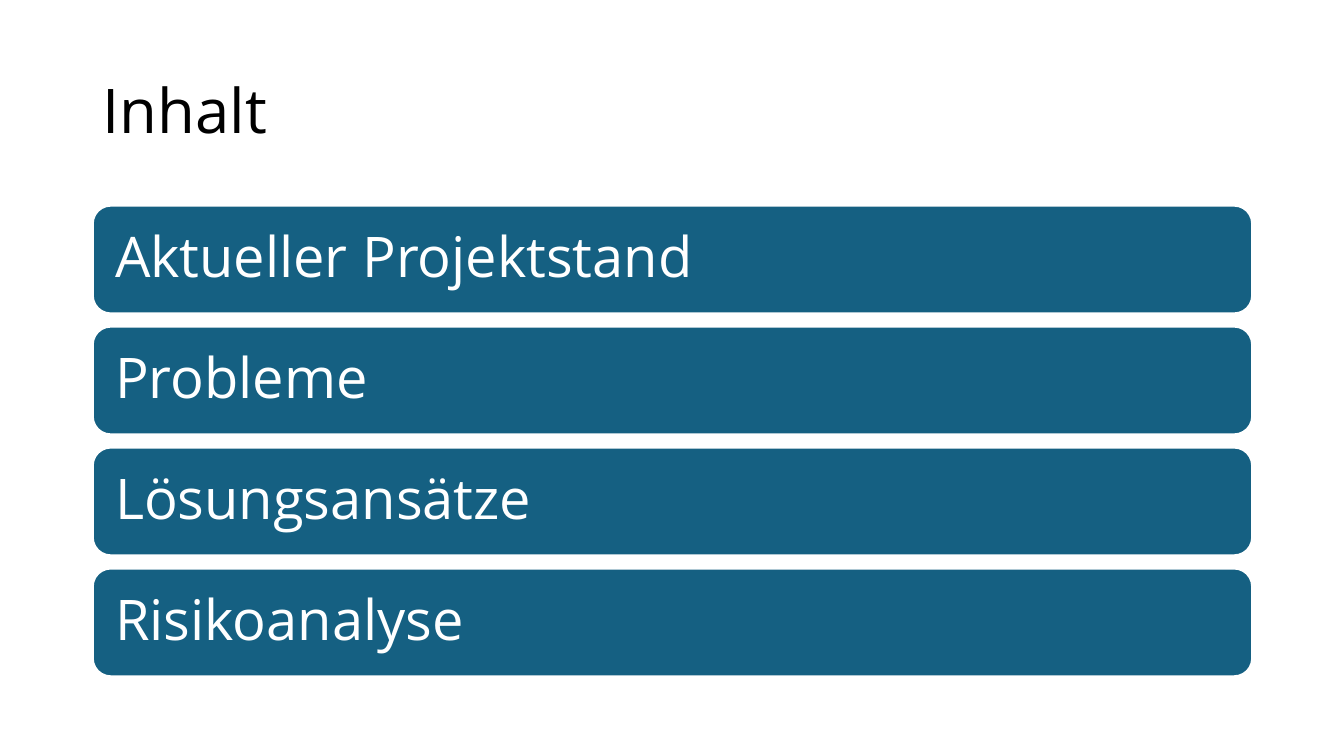
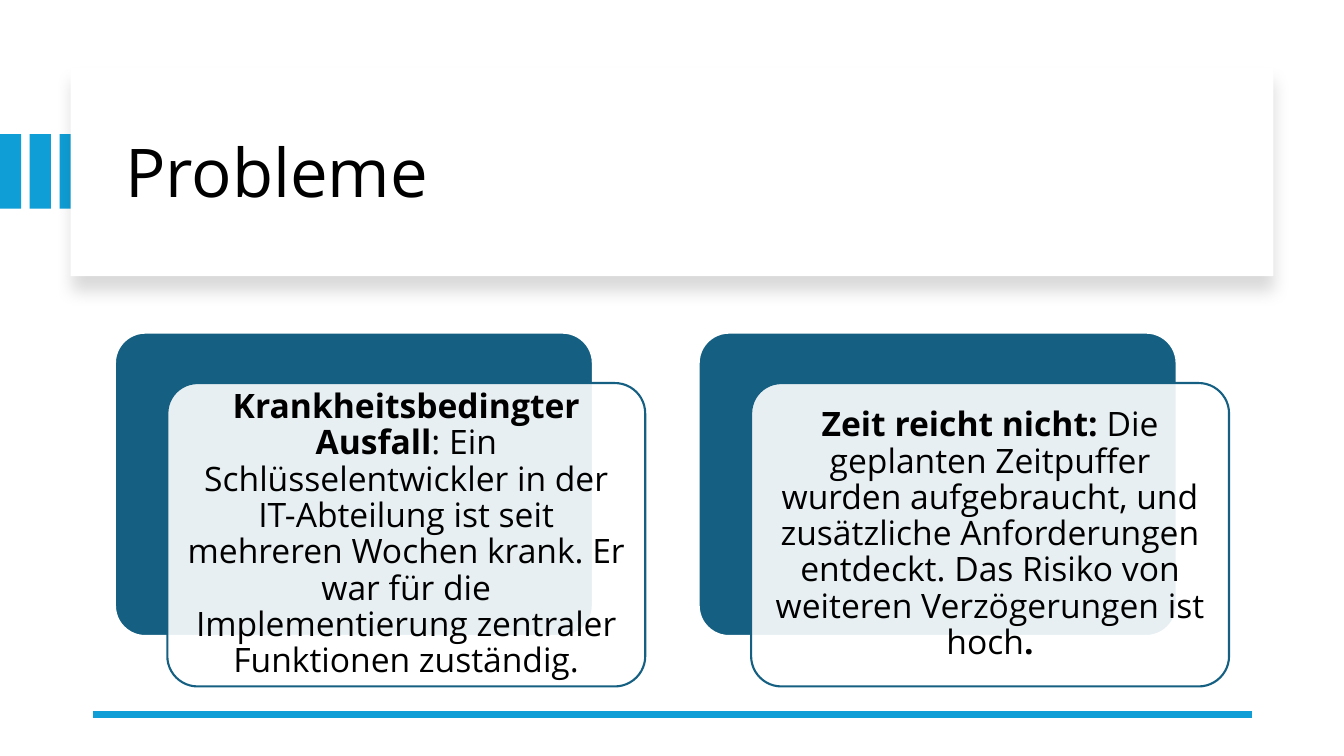
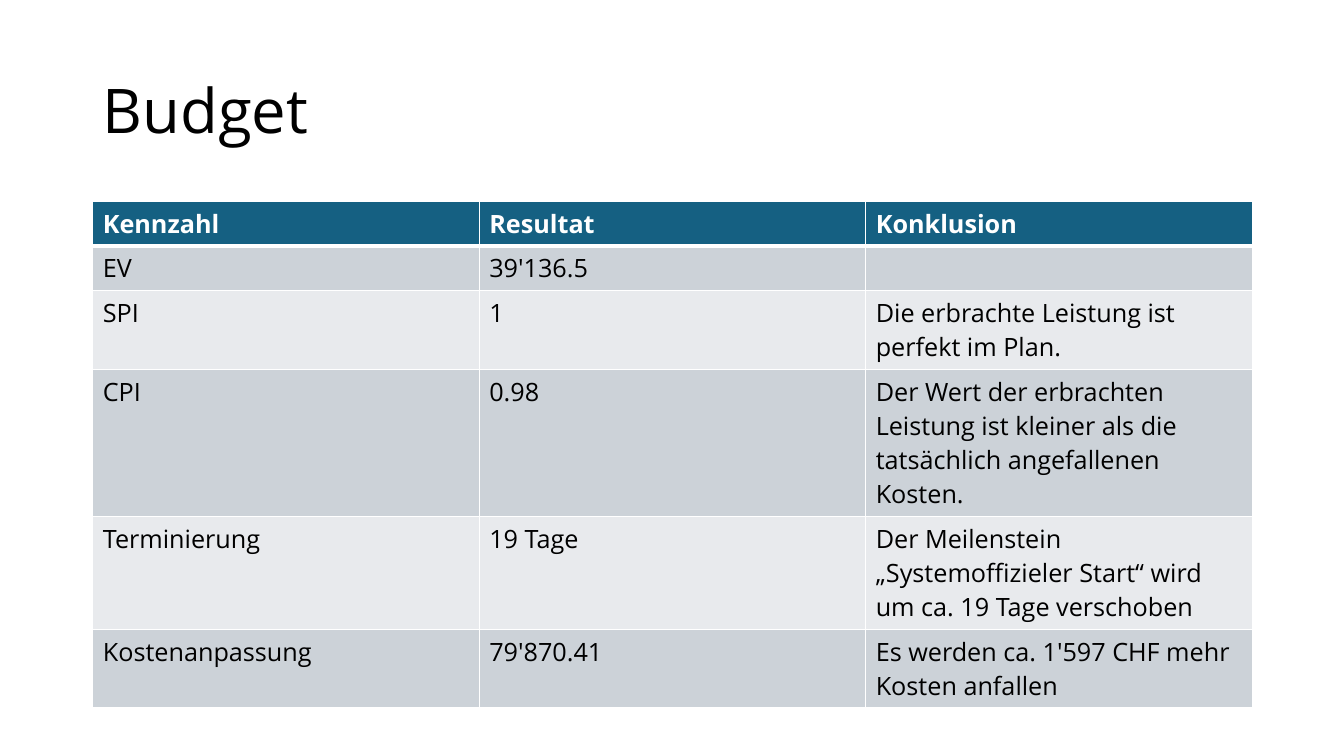
from dataclasses import dataclass

from lxml.etree import SubElement
from pptx import Presentation
from pptx.dml.color import RGBColor
from pptx.enum.shapes import MSO_CONNECTOR, MSO_SHAPE
from pptx.enum.text import MSO_ANCHOR, MSO_AUTO_SIZE, PP_ALIGN
from pptx.oxml import parse_xml
from pptx.oxml.ns import nsdecls, qn
from pptx.util import Inches, Pt


@dataclass(frozen=True)
class Theme:
    font: str = "Open Sans"
    black: str = "000000"
    white: str = "FFFFFF"
    teal: str = "156082"
    blue: str = "0F9ED5"
    dark: str = "CCD2D8"
    light: str = "E8EAED"
    title: int = 44
    large: int = 48
    bar: int = 40
    card: int = 24
    cell: int = 18


theme = Theme()


def write(frame, *runs, size, color=theme.black, bold=(), align=PP_ALIGN.LEFT,
          space=0.9, inset=None):
    """Write runs as one paragraph; bold holds the indexes of bold runs."""
    frame.word_wrap = True
    frame.auto_size = MSO_AUTO_SIZE.NONE
    frame.vertical_anchor = MSO_ANCHOR.MIDDLE
    if inset is not None:
        frame.margin_left = frame.margin_right = Inches(inset)
        frame.margin_top = frame.margin_bottom = Inches(inset)
    para = frame.paragraphs[0]
    para.alignment = align
    para.line_spacing = space
    for index, text in enumerate(runs):
        run = para.add_run()
        run.text = text
        run.font.name = theme.font
        run.font.size = Pt(size)
        run.font.bold = index in bold
        run.font.color.rgb = RGBColor.from_string(color)


def draw(slide, kind, left, top, width, height, fill, line=None):
    """Add a flat shape with an optional outline."""
    shape = slide.shapes.add_shape(
        kind, Inches(left), Inches(top), Inches(width), Inches(height))
    shape.shadow.inherit = False
    shape.fill.solid()
    shape.fill.fore_color.rgb = RGBColor.from_string(fill)
    if line:
        shape.line.color.rgb = RGBColor.from_string(line)
        shape.line.width = Pt(1.5)
    else:
        shape.line.fill.background()
    return shape


deck = Presentation()
deck.slide_width = Inches(13.33)
deck.slide_height = Inches(7.5)

# Slides and their titles
wide = (0.92, 0.4, 11.5, 1.45)
heads = [
    ("Inhalt", wide, theme.title),
    ("Probleme", (1.14, 0.89, 11.13, 1.7), theme.large),
    ("Budget", wide, theme.title),
]
slides = []
for text, box, size in heads:
    slide = deck.slides.add_slide(deck.slide_layouts[5])
    title = slide.shapes.title
    title.left, title.top, title.width, title.height = map(Inches, box)
    write(title.text_frame, text, size=size)
    slides.append(slide)
agenda, issues, budget = slides

# Agenda bars
topics = ["Aktueller Projektstand", "Probleme", "Lösungsansätze", "Risikoanalyse"]
for index, topic in enumerate(topics):
    bar = draw(agenda, MSO_SHAPE.ROUNDED_RECTANGLE, 0.92, 2.04 + 1.2 * index,
               11.5, 1.07, theme.teal, theme.white)
    write(bar.text_frame, topic, size=theme.bar, color=theme.white, inset=0.17)

# Stripes beside the title panel
for index in range(3):
    draw(issues, MSO_SHAPE.RECTANGLE, 0.295 * index, 1.33, 0.21, 0.74, theme.blue)

# Title panel with a soft shadow, title on top
panel = draw(issues, MSO_SHAPE.RECTANGLE, 0.7, 0.67, 11.93, 2.07, theme.white)
effects = panel._element.spPr.find(qn("a:effectLst"))
effects.append(parse_xml(
    f'<a:outerShdw {nsdecls("a")} blurRad="{Pt(11)}" dist="{Pt(10)}" '
    f'dir="5400000" algn="t" rotWithShape="0"><a:srgbClr val="{theme.black}">'
    '<a:alpha val="15000"/></a:srgbClr></a:outerShdw>'))
panel._element.addnext(issues.shapes.title._element)

# Rule at the foot
rule = issues.shapes.add_connector(
    MSO_CONNECTOR.STRAIGHT, Inches(12.42), Inches(7.09), Inches(0.92), Inches(7.09))
rule.line.color.rgb = RGBColor.from_string(theme.blue)
rule.line.width = Pt(4.5)
SubElement(rule._element.spPr, qn("a:effectLst"))

# Problem cards, each on an offset backing
cards = [
    (["Krankheitsbedingter Ausfall",
      ": Ein Schlüsselentwickler in der IT-Abteilung ist seit mehreren Wochen "
      "krank. Er war für die Implementierung zentraler Funktionen zuständig."],
     {0}),
    (["Zeit reicht nicht: ",
      "Die geplanten Zeitpuffer wurden aufgebraucht, und zusätzliche "
      "Anforderungen entdeckt. Das Risiko von weiteren Verzögerungen ist hoch",
      "."], {0, 2}),
]
for index, (runs, bold) in enumerate(cards):
    left = 1.14 + 5.79 * index
    back = draw(issues, MSO_SHAPE.ROUNDED_RECTANGLE, left, 3.3, 4.74, 3.01,
                theme.teal, theme.white)
    card = draw(issues, MSO_SHAPE.ROUNDED_RECTANGLE, left + 0.52, 3.8, 4.74, 3.01,
                theme.white, theme.teal)
    back.adjustments[0] = card.adjustments[0] = 0.1
    tint = card._element.spPr.find(qn("a:solidFill"))[0]
    SubElement(tint, qn("a:alpha"), val="90000")
    write(card.text_frame, *runs, size=theme.card, bold=bold,
          align=PP_ALIGN.CENTER, inset=0.1)

# Budget table
rows = [
    ("Kennzahl", "Resultat", "Konklusion"),
    ("EV", "39'136.5", ""),
    ("SPI", "1", "Die erbrachte Leistung ist perfekt im Plan."),
    ("CPI", "0.98", "Der Wert der erbrachten Leistung ist kleiner als die "
                    "tatsächlich angefallenen Kosten."),
    ("Terminierung", "19 Tage", "Der Meilenstein „Systemoffizieler Start“ wird "
                                "um ca. 19 Tage verschoben"),
    ("Kostenanpassung", "79'870.41", "Es werden ca. 1'597 CHF mehr Kosten anfallen"),
]
table = budget.shapes.add_table(
    len(rows), 3, Inches(0.92), Inches(2), Inches(11.5), Inches(0.41 * len(rows))).table
for r, row in enumerate(rows):
    head = r == 0
    fill = theme.teal if head else theme.dark if r % 2 else theme.light
    for c, text in enumerate(row):
        cell = table.cell(r, c)
        # Cell borders, heavier between head and body
        props = cell._tc.get_or_add_tcPr()
        for side in ("L", "R", "T", "B"):
            heavy = (head and side == "B") or (r == 1 and side == "T")
            edge = SubElement(props, qn(f"a:ln{side}"), w=str(Pt(3 if heavy else 1)))
            SubElement(SubElement(edge, qn("a:solidFill")), qn("a:srgbClr"),
                       val=theme.white)
        cell.fill.solid()
        cell.fill.fore_color.rgb = RGBColor.from_string(fill)
        if text:
            write(cell.text_frame, text, size=theme.cell, space=1.0,
                  color=theme.white if head else theme.black, bold={0} if head else ())
        cell.vertical_anchor = MSO_ANCHOR.TOP

deck.save("out.pptx")
